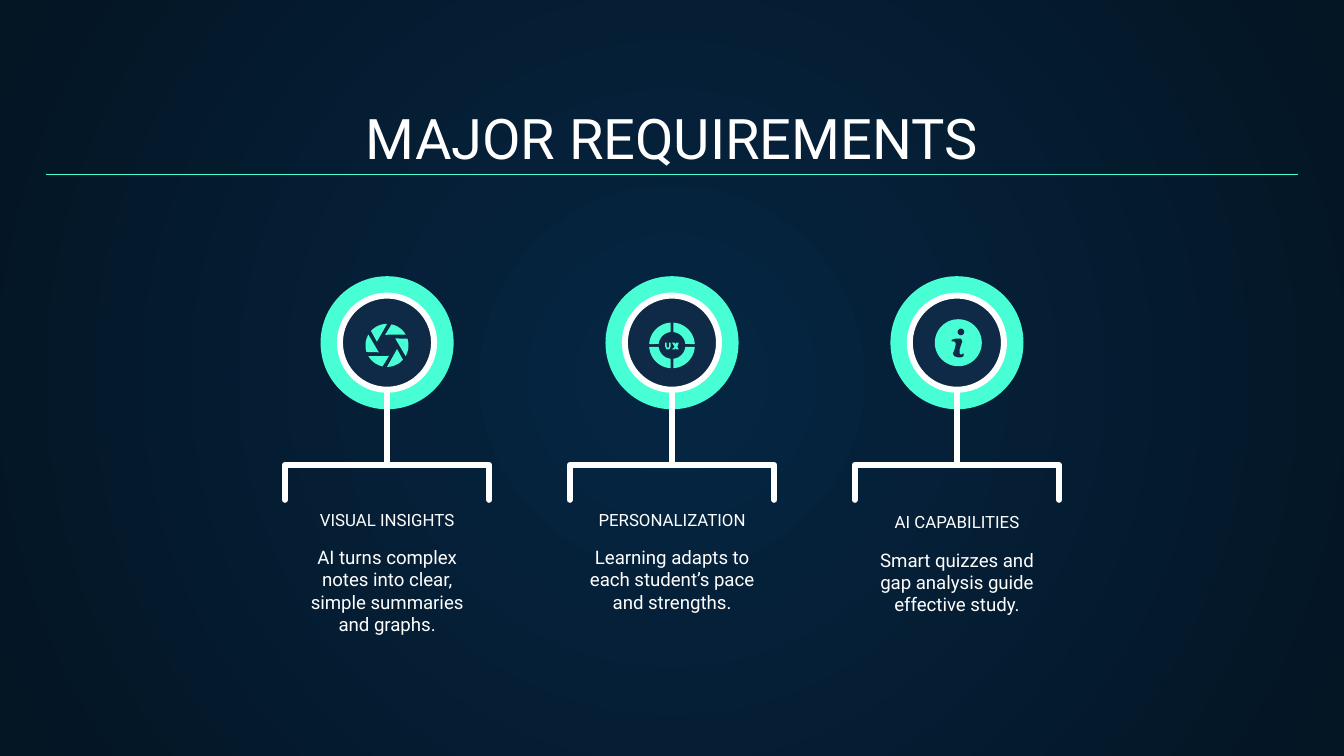
from math import cos, radians, sin

from lxml import etree
from pptx import Presentation
from pptx.dml.color import RGBColor
from pptx.enum.shapes import MSO_CONNECTOR, MSO_SHAPE
from pptx.enum.text import MSO_ANCHOR, MSO_AUTO_SIZE, PP_ALIGN
from pptx.oxml.ns import qn
from pptx.util import Inches, Pt

OVAL = MSO_SHAPE.OVAL
STRAIGHT = MSO_CONNECTOR.STRAIGHT
TOP, BOTTOM = MSO_ANCHOR.TOP, MSO_ANCHOR.BOTTOM

FONT = "Roboto"
COLORS = {"glow": "052643", "edge": "041523", "navy": "0E2A47",
          "mint": "48FFD5", "white": "FFFFFF"}

TITLE = "MAJOR REQUIREMENTS"
# heading, description, icon, downward shift of the text
REQUIREMENTS = [
    ("VISUAL INSIGHTS",
     "AI turns complex notes into clear, simple summaries and graphs.", "aperture", 0),
    ("PERSONALIZATION",
     "Learning adapts to each student’s pace and strengths.", "ux", 0),
    ("AI CAPABILITIES",
     "Smart quizzes and gap analysis guide effective study.", "info", 0.02),
]

SLIDE_W = 10
SLIDE_H = SLIDE_W * 9 / 16
CENTER_X, PITCH, BADGE_Y = SLIDE_W / 2, 2.12, 2.55
BRACKET_Y, BRACKET_END, BRACKET_HALF = 3.46, 3.72, 0.76

# Glyph outlines, as offsets from the icon centre
LETTER_U = [(-0.05, -0.02), (-0.05, 0.01), (-0.04, 0.03), (-0.03, 0.03),
            (-0.02, 0.03), (-0.01, 0.01), (-0.01, -0.02), (-0.02, -0.02),
            (-0.02, 0.01), (-0.03, 0.02), (-0.04, 0.01), (-0.04, -0.02)]
LETTER_X = [(0, -0.02), (0.02, 0.01), (0, 0.03), (0.02, 0.03), (0.03, 0.02),
            (0.03, 0.03), (0.05, 0.03), (0.04, 0.01), (0.05, -0.02),
            (0.03, -0.02), (0.03, -0.01), (0.02, -0.02)]
LETTER_I = [(-0.02, -0.03), (0.02, -0.03), (0.03, -0.01), (0.02, 0.02),
            (0.01, 0.05), (0.01, 0.08), (0.02, 0.09), (0.04, 0.08), (0.04, 0.1),
            (0.02, 0.11), (0, 0.11), (-0.03, 0.1), (-0.04, 0.08), (-0.03, 0.06),
            (-0.02, 0.02), (-0.02, 0), (-0.03, -0.01), (-0.05, -0.01), (-0.05, -0.02)]


def color(name):
    return RGBColor.from_string(COLORS[name])


def paint(shape, fill=None, line=None, width=0):
    shape.shadow.inherit = False
    if fill:
        shape.fill.solid()
        shape.fill.fore_color.rgb = color(fill)
    else:
        shape.fill.background()
    if line:
        shape.line.color.rgb = color(line)
        shape.line.width = Pt(width)
    else:
        shape.line.fill.background()


def add_disc(s, x, y, size, fill, line=None, width=0):
    disc = s.shapes.add_shape(OVAL, Inches(x - size / 2), Inches(y - size / 2),
                              Inches(size), Inches(size))
    paint(disc, fill, line, width)


def add_outline(s, x, y, offsets, close=True):
    points = [(Inches(x + dx), Inches(y + dy)) for dx, dy in offsets]
    builder = s.shapes.build_freeform(*points[0])
    builder.add_line_segments(points[1:], close=close)
    return builder.convert_to_shape()


def add_line(s, x1, y1, x2, y2, fill, width):
    line = s.shapes.add_connector(STRAIGHT, *map(Inches, (x1, y1, x2, y2)))
    line.line.color.rgb = color(fill)
    line.line.width = Pt(width)
    etree.SubElement(line._element.spPr, qn("a:effectLst"))


def set_text(shape, box, text, size, anchor):
    shape.left, shape.top, shape.width, shape.height = map(Inches, box)
    tf = shape.text_frame
    tf.text = text
    tf.word_wrap = True
    tf.auto_size = MSO_AUTO_SIZE.NONE
    tf.vertical_anchor = anchor
    tf.margin_left = tf.margin_right = tf.margin_top = tf.margin_bottom = Inches(0.1)
    p = tf.paragraphs[0]
    p.alignment = PP_ALIGN.CENTER
    p.font.name = FONT
    p.font.size = Pt(size)
    p.font.color.rgb = color("white")


def add_text(s, box, text, size, anchor):
    set_text(s.shapes.add_textbox(0, 0, 0, 0), box, text, size, anchor)


def arc(radius, start, end, steps=12):
    """Points along an arc; degrees run clockwise from the right."""
    angles = [radians(start + (end - start) * i / steps) for i in range(steps + 1)]
    return [(radius * cos(a), radius * sin(a)) for a in angles]


def add_aperture(s, x):
    for turn in range(0, 360, 60):
        tip = radians(140 + turn)
        blade = arc(0.16, 162 + turn, 210 + turn) + [(0.08 * cos(tip), 0.08 * sin(tip))]
        paint(add_outline(s, x, 2.57, blade), "mint")


def add_ux(s, x):
    for turn in range(0, 360, 90):
        segment = arc(0.17, turn + 3.5, turn + 86.5) + arc(0.1, turn + 84, turn + 6)
        paint(add_outline(s, x, 2.57, segment), "mint")
    for letter in (LETTER_U, LETTER_X):
        paint(add_outline(s, x, 2.57, letter), "mint")


def add_info(s, x):
    x += 0.01
    add_disc(s, x, BADGE_Y, 0.35, "mint")
    add_disc(s, x + 0.02, 2.47, 0.05, "navy")
    paint(add_outline(s, x, BADGE_Y, LETTER_I), "navy")


ICONS = {"aperture": add_aperture, "ux": add_ux, "info": add_info}


def add_requirement(s, x, heading, description, icon, shift):
    add_disc(s, x, BADGE_Y, 0.99, "mint")
    add_line(s, x, BADGE_Y, x, BRACKET_Y, "white", 3.2)
    add_disc(s, x, BADGE_Y, 0.7, "navy", "white", 3.2)
    drop = BRACKET_END - BRACKET_Y
    bracket = add_outline(s, x, BRACKET_Y, [
        (-BRACKET_HALF, drop), (-BRACKET_HALF, 0),
        (BRACKET_HALF, 0), (BRACKET_HALF, drop)], close=False)
    paint(bracket, line="white", width=3.2)
    bracket._element.spPr.find(qn("a:ln")).set("cap", "rnd")
    ICONS[icon](s, x)
    add_text(s, (x - 1.14, 3.83 + shift, 2.28, 0.21), heading, 9, BOTTOM)
    add_text(s, (x - 0.76, 3.96 + shift, 1.52, 0.55), description, 10, TOP)


def set_background(s):
    fill = s.background.fill
    fill.gradient()
    for stop, name in zip(fill.gradient_stops, ("glow", "edge")):
        stop.color.rgb = color(name)
    grad = s.element.find(".//" + qn("a:gradFill"))
    linear = grad.find(qn("a:lin"))
    radial = etree.Element(qn("a:path"), path="circle")
    etree.SubElement(radial, qn("a:fillToRect"), l="50000", t="50000",
                     r="50000", b="50000")
    grad.replace(linear, radial)


def main():
    prs = Presentation()
    prs.slide_width, prs.slide_height = Inches(SLIDE_W), Inches(SLIDE_H)
    s = prs.slides.add_slide(prs.slide_layouts.get_by_name("Title Only"))
    set_background(s)
    set_text(s.shapes.title, (0.34, 0.71, 9.32, 0.66), TITLE, 30, BOTTOM)
    add_line(s, 0.34, 1.3, 9.66, 1.3, "mint", 0.75)
    for i, requirement in enumerate(REQUIREMENTS):
        add_requirement(s, CENTER_X + (i - 1) * PITCH, *requirement)
    prs.save("out.pptx")


if __name__ == "__main__":
    main()
